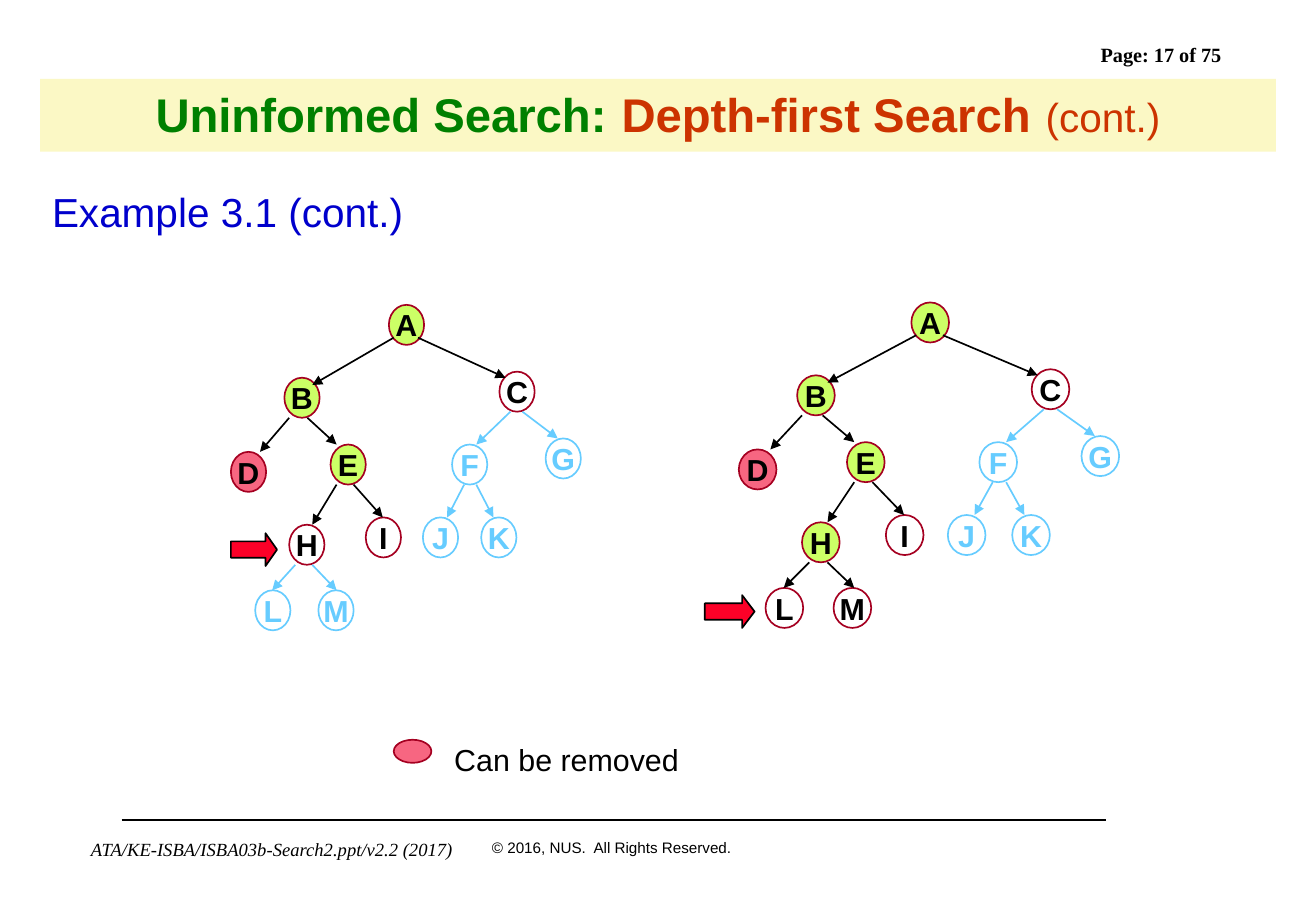
from dataclasses import dataclass, field

from lxml import etree
from pptx import Presentation
from pptx.dml.color import RGBColor
from pptx.enum.shapes import MSO_CONNECTOR, MSO_SHAPE
from pptx.enum.text import MSO_ANCHOR, PP_ALIGN
from pptx.oxml.ns import qn
from pptx.util import Pt

STRAIGHT = MSO_CONNECTOR.STRAIGHT
ELLIPSE, RECTANGLE, RIGHT_ARROW = MSO_SHAPE.OVAL, MSO_SHAPE.RECTANGLE, MSO_SHAPE.RIGHT_ARROW
LEFT, CENTER = PP_ALIGN.LEFT, PP_ALIGN.CENTER
TOP, MIDDLE = MSO_ANCHOR.TOP, MSO_ANCHOR.MIDDLE

PX = 9144  # one hundredth of an inch
NODE_HEIGHT = 33
Point = tuple[int, int]
Box = tuple[int, int, int, int]


@dataclass(frozen=True)
class NodeStyle:
    fill: str
    line: str
    ink: str


@dataclass(frozen=True)
class Theme:
    sans: str = "Arial"
    serif: str = "Times New Roman"
    black: str = "000000"
    banner: str = "FBF8C5"
    green: str = "008000"
    rust: str = "CC3300"
    blue: str = "0000CC"
    pointer: str = "FC0128"
    title: int = 28
    title_gap: int = 32
    heading: int = 24
    label: int = 18
    page: int = 12
    footer: int = 11
    rights: int = 9
    line: int = 1


THEME = Theme()
NODE_STYLES = {
    "expanded": NodeStyle("CCFF66", "A50021", THEME.black),
    "open": NodeStyle("FFFFFF", "A50021", THEME.black),
    "removed": NodeStyle("F76681", "A50021", THEME.black),
    "unseen": NodeStyle("FFFFFF", "66CCFF", "66CCFF"),
}


@dataclass(frozen=True)
class Run:
    text: str
    size: int
    color: str = THEME.black
    name: str = THEME.sans
    bold: bool = False
    italic: bool = False


@dataclass(frozen=True)
class TextBox:
    box: Box
    run: Run
    wrap: bool = True
    line_spacing: float = 1.0


@dataclass(frozen=True)
class Node:
    label: str
    left: int
    top: int
    state: str
    edge: tuple[Point, Point] | None = None  # arrow from the parent


@dataclass(frozen=True)
class Tree:
    left: int
    shift_y: int
    stretch: float
    node_width: int
    pointer: Box
    pointer_head: float
    states: dict[str, str] = field(default_factory=dict)

    def place(self, x: int, y: int) -> Point:
        return round(self.left + (x - 190) * self.stretch), y + self.shift_y


NODES = [
    Node("A", 320, 251, "expanded"),
    Node("B", 234, 311, "expanded", ((324, 278), (257, 317))),
    Node("C", 411, 306, "open", ((344, 278), (416, 311))),
    Node("D", 190, 372, "removed", ((238, 344), (214, 372))),
    Node("E", 272, 366, "expanded", ((253, 344), (277, 366))),
    Node("F", 372, 366, "unseen", ((420, 339), (392, 366))),
    Node("G", 449, 361, "unseen", ((430, 339), (459, 361))),
    Node("H", 238, 432, "open", ((277, 399), (257, 432))),
    Node("I", 301, 426, "open", ((291, 399), (315, 426))),
    Node("J", 348, 426, "unseen", ((382, 399), (368, 426))),
    Node("K", 396, 426, "unseen", ((392, 399), (406, 426))),
    Node("L", 210, 486, "unseen", ((243, 465), (224, 486))),
    Node("M", 262, 486, "unseen", ((257, 465), (277, 486))),
]
TREES = [
    Tree(190, 0, 1.0, 29, (190, 439, 38, 27), 0.35),
    Tree(608, -2, 1.09, 31, (580, 490, 41, 27), 0.38,
         {"H": "expanded", "L": "open", "M": "open"}),
]
TITLE_RUNS = [
    Run("Uninformed Search:", THEME.title, THEME.green, bold=True),
    Run(" ", THEME.title_gap, THEME.green, bold=True),
    Run("Depth-first Search", THEME.title, THEME.rust, bold=True),
    Run(" ", THEME.title_gap, THEME.green, bold=True),
    Run("(cont.)", THEME.heading, THEME.rust),
]
TEXT_BOXES = [
    TextBox((896, 30, 144, 30), Run("Page: 17 of 75", THEME.page, name=THEME.serif, bold=True)),
    TextBox((65, 685, 322, 28), Run("ATA/KE-ISBA/ISBA03b-Search2.ppt/v2.2 (2017)",
                                    THEME.footer, name=THEME.serif, italic=True), wrap=False),
    TextBox((395, 685, 219, 25), Run("© 2016, NUS.  All Rights Reserved.", THEME.rights),
            wrap=False),
    TextBox((33, 137, 1017, 60), Run("Example 3.1 (cont.)", THEME.heading, THEME.blue),
            line_spacing=1.3),
    TextBox((364, 605, 234, 40), Run("Can be removed", THEME.label)),
]


def emu(*lengths: int) -> list[int]:
    return [length * PX for length in lengths]


def write(shape, runs: list[Run], align=LEFT, anchor=TOP, wrap: bool = True,
          line_spacing: float = 1.0) -> None:
    frame = shape.text_frame
    frame.word_wrap = wrap
    frame.vertical_anchor = anchor
    paragraph = frame.paragraphs[0]
    paragraph.alignment = align
    paragraph.line_spacing = line_spacing
    for item in runs:
        run = paragraph.add_run()
        run.text = item.text
        run.font.color.rgb = RGBColor.from_string(item.color)
        formats = {"size": Pt(item.size), "name": item.name,
                   "bold": item.bold, "italic": item.italic}
        for attribute, value in formats.items():
            setattr(run.font, attribute, value)


def add_filled(slide, kind, box: Box, fill: str, line: str | None = None):
    shape = slide.shapes.add_shape(kind, *emu(*box))
    shape.shadow.inherit = False
    shape.fill.solid()
    shape.fill.fore_color.rgb = RGBColor.from_string(fill)
    if line is None:
        shape.line.fill.background()
    else:
        shape.line.color.rgb = RGBColor.from_string(line)
        shape.line.width = Pt(THEME.line)
    return shape


def add_line(slide, start: Point, end: Point, color: str, arrow: bool = False) -> None:
    connector = slide.shapes.add_connector(STRAIGHT, *emu(*start, *end))
    connector.line.color.rgb = RGBColor.from_string(color)
    connector.line.width = Pt(THEME.line)
    if arrow:
        etree.SubElement(connector.line._get_or_add_ln(), qn("a:tailEnd"), type="triangle")
    etree.SubElement(connector._element.spPr, qn("a:effectLst"))


def add_tree(slide, tree: Tree) -> None:
    for node in NODES:
        style = NODE_STYLES[tree.states.get(node.label, node.state)]
        box = (*tree.place(node.left, node.top), tree.node_width, NODE_HEIGHT)
        circle = add_filled(slide, ELLIPSE, box, style.fill, style.line)
        write(circle, [Run(node.label, THEME.label, style.ink, bold=True)],
              CENTER, MIDDLE, wrap=False)
        if node.edge:
            start, end = node.edge
            add_line(slide, tree.place(*start), tree.place(*end), style.ink, arrow=True)
    pointer = add_filled(slide, RIGHT_ARROW, tree.pointer, THEME.pointer, THEME.black)
    pointer.adjustments[1] = tree.pointer_head


def main() -> None:
    presentation = Presentation()
    presentation.slide_width, presentation.slide_height = emu(1083, 750)
    slide = presentation.slides.add_slide(presentation.slide_layouts[6])

    # Title banner and footer rule
    banner = add_filled(slide, RECTANGLE, (33, 65, 1017, 60), THEME.banner)
    write(banner, TITLE_RUNS, CENTER, MIDDLE, line_spacing=0.9)
    add_line(slide, (100, 675), (910, 675), THEME.black)

    # Page number, footer, heading and legend text
    for item in TEXT_BOXES:
        text_box = slide.shapes.add_textbox(*emu(*item.box))
        write(text_box, [item.run], wrap=item.wrap, line_spacing=item.line_spacing)

    # Legend marker
    removed = NODE_STYLES["removed"]
    add_filled(slide, ELLIPSE, (324, 609, 31, 19), removed.fill, removed.line)

    # Search trees
    for tree in TREES:
        add_tree(slide, tree)

    presentation.save("out.pptx")


if __name__ == "__main__":
    main()
